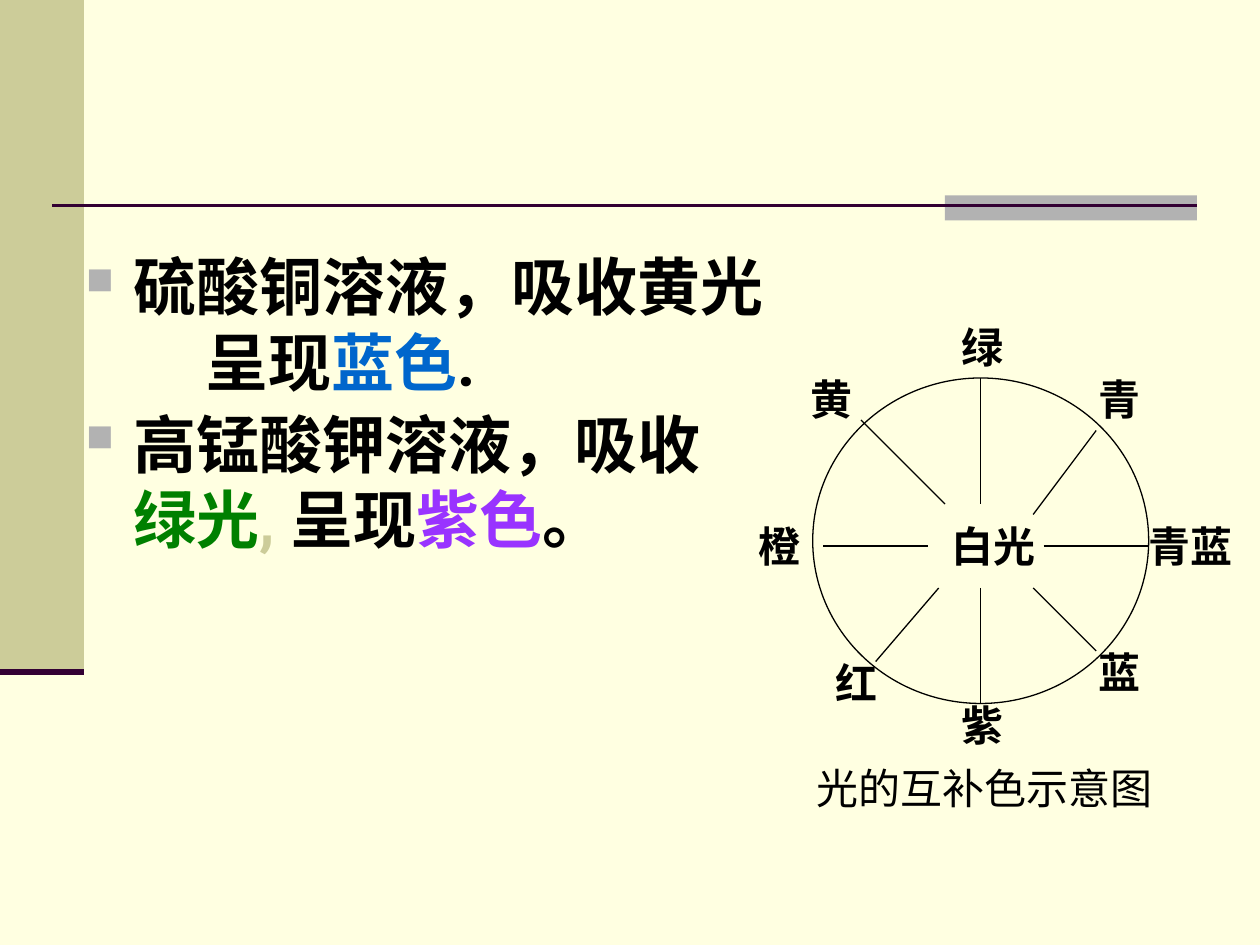
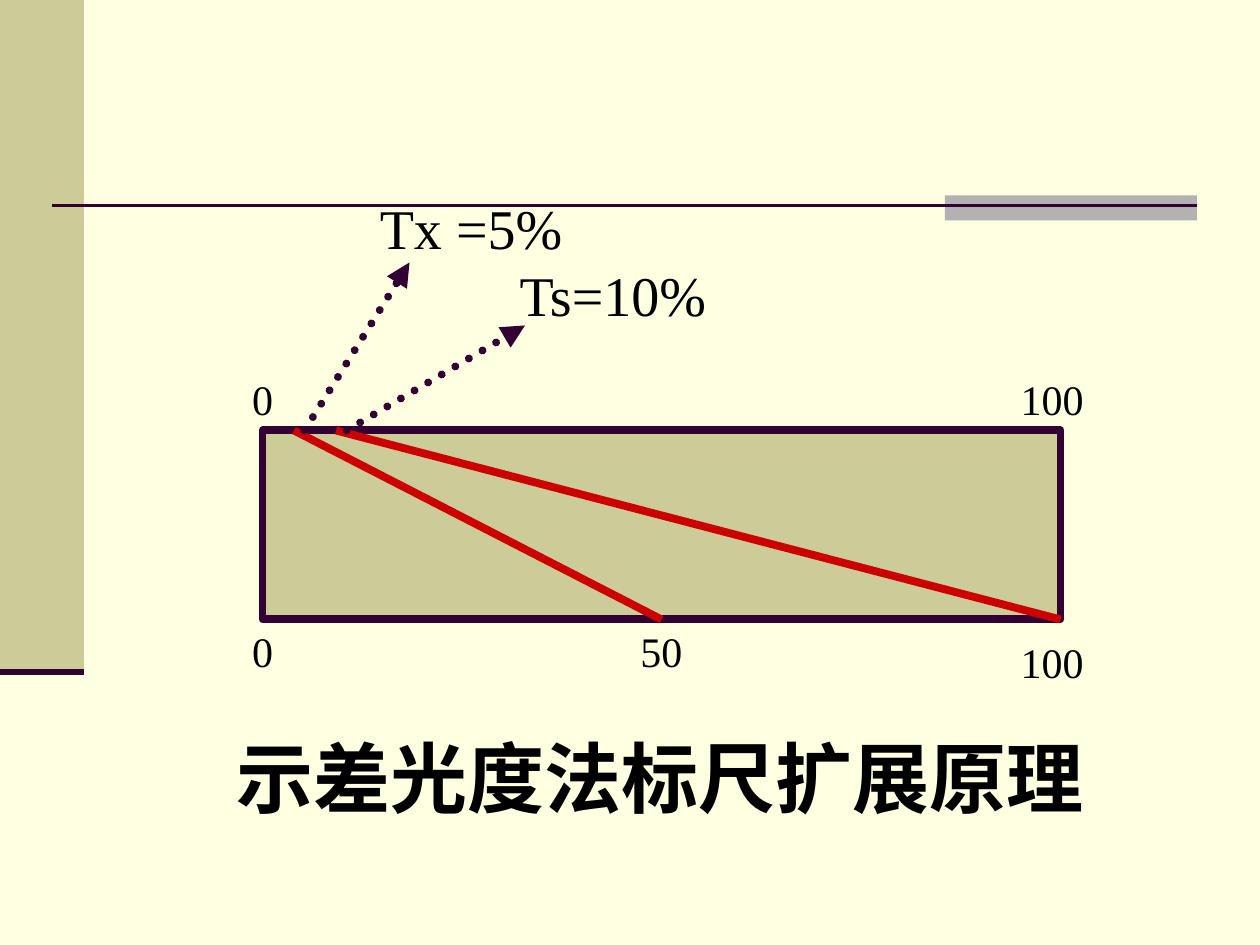
from lxml import etree
from pptx import Presentation, util as u
from pptx.dml.color import RGBColor
from pptx.enum import dml, shapes, text
from pptx.oxml.ns import qn

CREAM = RGBColor(0xFF, 0xFF, 0xE1)
OLIVE = RGBColor(0xCC, 0xCC, 0x99)
GREY = RGBColor(0xB2, 0xB2, 0xB2)
PLUM = RGBColor(0x33, 0x00, 0x33)
RED = RGBColor(0xCC, 0x00, 0x00)
BLUE = RGBColor(0x00, 0x66, 0xCC)
GREEN = RGBColor(0x00, 0x80, 0x00)
VIOLET = RGBColor(0x99, 0x33, 0xFF)
BLACK = RGBColor(0x00, 0x00, 0x00)

SANS, SERIF = "Roboto", "Times New Roman"
WIDTH, HEIGHT = u.Inches(10), u.Inches(7.5)
COLUMNS = 120  # the slide is a grid of 120 by 90 square cells
BLANK_LAYOUT = 6


def cells(count):
    return round(WIDTH * count / COLUMNS)


def add_block(page, kind, place, fill=None, line=None, weight=0.75):
    block = page.shapes.add_shape(kind, *map(cells, place))
    block.shadow.inherit = False
    for part, colour in ((block.fill, fill), (block.line.fill, line)):
        if colour is None:
            part.background()
        else:
            part.solid()
            part.fore_color.rgb = colour
    if line is not None:
        block.line.width = u.Pt(weight)
    return block


def add_line(page, start, end, colour=BLACK, weight=0.75):
    line = page.shapes.add_connector(
        shapes.MSO_CONNECTOR.STRAIGHT, *map(cells, (*start, *end)))
    line.line.color.rgb = colour
    line.line.width = u.Pt(weight)
    etree.SubElement(line._element.spPr, qn("a:effectLst"))
    return line


def add_dotted_arrow(page, start, end):
    arrow = add_line(page, start, end, PLUM, 4.5)
    arrow.line.dash_style = dml.MSO_LINE.ROUND_DOT
    outline = arrow.line._get_or_add_ln()
    outline.set("cap", "rnd")
    etree.SubElement(outline, qn("a:tailEnd"), type="triangle")


def add_box(page, place, wrap=True):
    box = page.shapes.add_textbox(*map(cells, place))
    box.text_frame.word_wrap = wrap
    return box.text_frame


def add_span(para, words, colour=BLACK, **formats):
    span = para.add_run()
    span.text = words
    span.font.color.rgb = colour
    for name, value in formats.items():
        setattr(span.font, name, value)


def add_label(page, words, centre, top, size=24, name=SERIF, bold=False):
    """Write one line of text centred on a column."""
    width = len(words) * size / 6 + 3
    frame = add_box(page, (centre - width / 2, top, width, size / 4), wrap=False)
    para = frame.paragraphs[0]
    para.alignment = text.PP_ALIGN.CENTER
    add_span(para, words, size=u.Pt(size), name=name, bold=bold)


def indent(para, left, first=0):
    properties = para._p.get_or_add_pPr()
    properties.set("marL", str(u.Inches(left)))
    properties.set("indent", str(u.Inches(first)))
    return properties


def add_square_bullet(para):
    properties = indent(para, 0.38, -0.38)
    colour = etree.SubElement(properties, qn("a:buClr"))
    etree.SubElement(colour, qn("a:srgbClr"), val=str(GREY))
    etree.SubElement(properties, qn("a:buSzPct"), val="60000")
    etree.SubElement(properties, qn("a:buChar"), char="■")


def add_statement(page, place, lines, second_indent):
    """Write a bulleted line and, below it, an indented line of coloured spans."""
    frame = add_box(page, place)
    first, second = frame.paragraphs[0], frame.add_paragraph()
    add_square_bullet(first)
    indent(second, second_indent)
    for para, spans in zip((first, second), lines):
        for words, colour in spans:
            add_span(para, words, colour, size=u.Pt(36), name=SANS, bold=True)


def add_page(deck):
    """Add a page with the side band and the rule at the top."""
    page = deck.slides.add_slide(deck.slide_layouts[BLANK_LAYOUT])
    rectangle = shapes.MSO_SHAPE.RECTANGLE
    add_block(page, rectangle, (0, 0, 8, 64), OLIVE)
    add_block(page, rectangle, (90, 18.6, 24, 2.4), GREY)
    add_line(page, (5, 19.6), (114, 19.6), PLUM, 1.5)
    add_line(page, (0, 64), (8, 64), PLUM, 3.5)
    return page


def add_colour_wheel(page):
    add_block(page, shapes.MSO_SHAPE.OVAL, (77.4, 36, 32, 31), line=BLACK)
    rays = [
        ((93.4, 36), (93.4, 48)), ((93.4, 56), (93.4, 67)),
        ((99.4, 52), (109.4, 52)), ((78.4, 52), (88.4, 52)),
        ((104.4, 41), (98.4, 49)), ((89.4, 56), (83.4, 63)),
        ((98.4, 56), (104.4, 62)), ((82, 40), (90, 48)),
    ]
    for start, end in rays:
        add_line(page, start, end)
    labels = [
        ("白光", 94.6, 49), ("绿", 93.6, 30), ("青", 106.6, 35),
        ("青蓝", 113.4, 49), ("蓝", 106.6, 61), ("紫", 93.6, 66),
        ("红", 81.6, 62), ("橙", 74.2, 49), ("黄", 79.2, 35),
    ]
    for words, centre, top in labels:
        add_label(page, words, centre, top, name=SANS, bold=True)
    add_label(page, "光的互补色示意图", 93.8, 72, name=SANS)


def add_complementary_page(deck):
    page = add_page(deck)
    add_statement(page, (7, 23, 68, 16), [
        [("硫酸铜溶液，吸收黄光", BLACK)],
        [("呈现", BLACK), ("蓝色", BLUE), (".", BLACK)],
    ], 0.95)
    add_colour_wheel(page)
    add_statement(page, (7, 38, 68, 19), [
        [("高锰酸钾溶液，吸收", BLACK)],
        [("绿光", GREEN), (", ", OLIVE), ("呈现", BLACK),
         ("紫色", VIOLET), ("。", BLACK)],
    ], 0.38)


def add_scale_page(deck):
    page = add_page(deck)
    left, top, width, height = 25, 41, 76, 18
    right, bottom, middle = left + width, top + height, left + width / 2
    scale = add_block(page, shapes.MSO_SHAPE.RECTANGLE,
                      (left, top, width, height), OLIVE, PLUM, 4.5)
    half = add_line(page, (28, top), (middle, bottom), RED, 4.5)
    half.end_connect(scale, 2)
    add_line(page, (32, top), (right, bottom), RED, 4.5)

    marks = [("0", left, 35), ("100", right - 0.8, 35),
             ("0", left, bottom), ("50", middle, bottom),
             ("100", right - 0.8, 60)]
    for words, centre, row in marks:
        add_label(page, words, centre, row)

    frame = add_box(page, (35, 17.8, 42, 14))
    sample, standard = frame.paragraphs[0], frame.add_paragraph()
    indent(standard, 1.11)
    for para, words in ((sample, "Tx =5%"), (standard, "Ts=10%")):
        add_span(para, words, size=u.Pt(32), name=SERIF)

    add_dotted_arrow(page, (29, top), (39, 25))
    add_dotted_arrow(page, (33, top), (50, 31))
    add_label(page, "示差光度法标尺扩展原理", 62.9, 69, size=44, bold=True)


def main():
    deck = Presentation()
    deck.slide_width, deck.slide_height = WIDTH, HEIGHT
    background = deck.slide_master.background.fill
    background.solid()
    background.fore_color.rgb = CREAM
    add_complementary_page(deck)
    add_scale_page(deck)
    deck.save("out.pptx")


if __name__ == "__main__":
    main()
